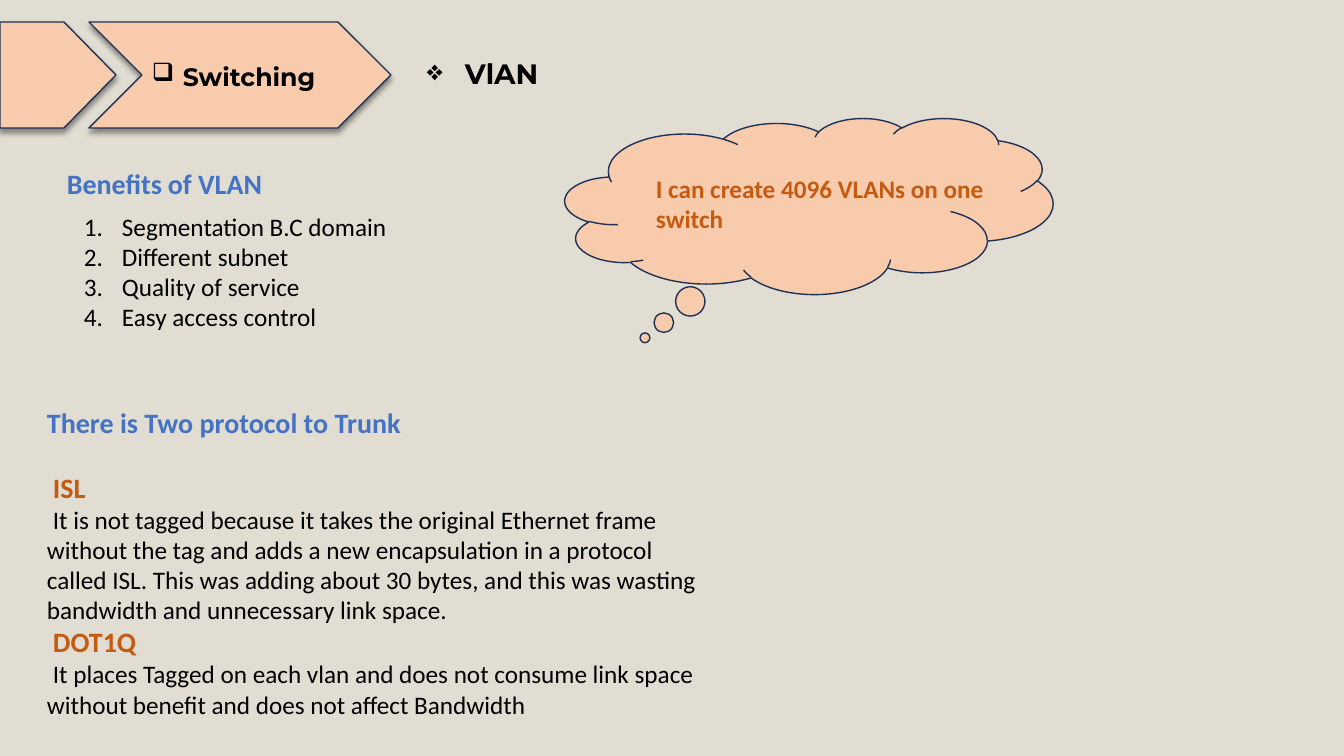
from lxml import etree
from pptx import Presentation
from pptx import util as u
from pptx.dml.color import RGBColor
from pptx.enum import shapes, text
from pptx.oxml.ns import qn

PX = 914400 / 100.8
SAND = RGBColor(0xE1, 0xDD, 0xD3)
PEACH = RGBColor(0xF8, 0xCB, 0xAD)
NAVY = RGBColor(0x1E, 0x32, 0x56)
BLACK = RGBColor(0, 0, 0)
BLUE = RGBColor(0x44, 0x72, 0xC4)
RUST = RGBColor(0xC5, 0x5A, 0x11)

TITLE = ("Montserrat", 18, BLACK, True)
TOPIC = ("Montserrat", 20, BLACK, True)
HEADING = ("Calibri", 20, BLUE, True)
TERM = ("Calibri", 20, RUST, True)
CLAIM = ("Calibri", 18, RUST, True)
BODY = ("Calibri", 18, BLACK, False)

BENEFITS = ["Segmentation B.C domain", "Different subnet",
            "Quality of service", "Easy access control"]
ISL = ("It is not tagged because it takes the original Ethernet frame without the tag "
       "and adds a new encapsulation in a protocol called ISL. This was adding about "
       "30 bytes, and this was wasting bandwidth and unnecessary link space.")
DOT1Q = ("It places Tagged on each vlan and does not consume link space without benefit "
         "and does not affect\u00a0Bandwidth")

BANNERS = [
    (shapes.MSO_SHAPE.CHEVRON, (89, 22, 302, 106), [], True),
    (shapes.MSO_SHAPE.PENTAGON, (0, 22, 116, 106), [0.491], True),
    (shapes.MSO_SHAPE.CLOUD_CALLOUT, (565, 118, 488, 176), [-0.336, 0.749], False),
]

# Each paragraph: runs, bullet, hanging px, first-line px, space before in points
PASSAGES = [
    ((142, 56, 223, 72), [([("Switching", TITLE)], "❑", 31, 0, 0)]),
    ((417, 52, 676, 44), [([("VlAN", TOPIC)], "❖", 38, 0, 0)]),
    ((57, 162, 283, 44), [([("Benefits", HEADING), (" ", BODY), ("of VLAN", HEADING)],
                           None, 0, 0, 0)]),
    ((74, 206, 360, 132), [([(benefit, BODY)], "1.", 38, 0, 0) for benefit in BENEFITS]),
    ((646, 168, 392, 72), [([("I can create 4096 VLANs on one switch", CLAIM)],
                            None, 0, 0, 0)]),
    ((37, 401, 677, 326), [
        ([("There is Two protocol to Trunk", HEADING)], None, 0, 0, 0),
        ([("ISL", TERM)], None, 0, 6, 22),
        ([(ISL, BODY)], None, 0, 6, 0),
        ([("DOT1Q", TERM)], None, 0, 6, 0),
        ([(DOT1Q, BODY)], None, 0, 6, 0),
    ]),
]


def px(*lengths):
    return [u.Emu(round(length * PX)) for length in lengths]


def add_shadow(banner):
    effects = banner._element.spPr.find(qn("a:effectLst"))
    shadow = etree.SubElement(effects, qn("a:outerShdw"), blurRad=str(u.Pt(4)),
                              dist=str(u.Pt(3)), dir="5400000", algn="t", rotWithShape="0")
    tint = etree.SubElement(shadow, qn("a:srgbClr"), val=str(BLACK))
    etree.SubElement(tint, qn("a:alpha"), val="40000")


def add_banner(slide, preset, box, adjustments, shadowed):
    banner = slide.shapes.add_shape(preset, *px(*box))
    for index, value in enumerate(adjustments):
        banner.adjustments[index] = value
    banner.fill.solid()
    banner.fill.fore_color.rgb = PEACH
    banner.line.color.rgb = NAVY
    banner.line.width = u.Pt(1)
    banner.shadow.inherit = False
    if shadowed:
        add_shadow(banner)


def format_paragraph(paragraph, bullet, hanging, first_line, before):
    properties = paragraph._p.get_or_add_pPr()
    margin, indent = px(hanging, first_line - hanging)
    properties.set("marL", str(margin))
    properties.set("indent", str(indent))
    if bullet == "1.":
        etree.SubElement(properties, qn("a:buFont"), typeface="+mj-lt")
        etree.SubElement(properties, qn("a:buAutoNum"), type="arabicPeriod")
    elif bullet:
        etree.SubElement(properties, qn("a:buChar"), char=bullet)
    if before:
        paragraph.space_before = u.Pt(before)


def add_passage(slide, box, paragraphs):
    frame = slide.shapes.add_textbox(*px(*box)).text_frame
    frame.word_wrap = True
    frame.auto_size = text.MSO_AUTO_SIZE.SHAPE_TO_FIT_TEXT
    for index, (runs, *layout) in enumerate(paragraphs):
        paragraph = frame.add_paragraph() if index else frame.paragraphs[0]
        format_paragraph(paragraph, *layout)
        for words, (face, size, colour, bold) in runs:
            run = paragraph.add_run()
            run.text = words
            run.font.name = face
            run.font.size = u.Pt(size)
            run.font.color.rgb = colour
            run.font.bold = bold


def main():
    deck = Presentation()
    deck.slide_width, deck.slide_height = px(1344, 756)
    slide = deck.slides.add_slide(deck.slide_layouts[6])
    slide.background.fill.solid()
    slide.background.fill.fore_color.rgb = SAND
    for banner in BANNERS:
        add_banner(slide, *banner)
    for passage in PASSAGES:
        add_passage(slide, *passage)
    deck.save("out.pptx")


if __name__ == "__main__":
    main()
